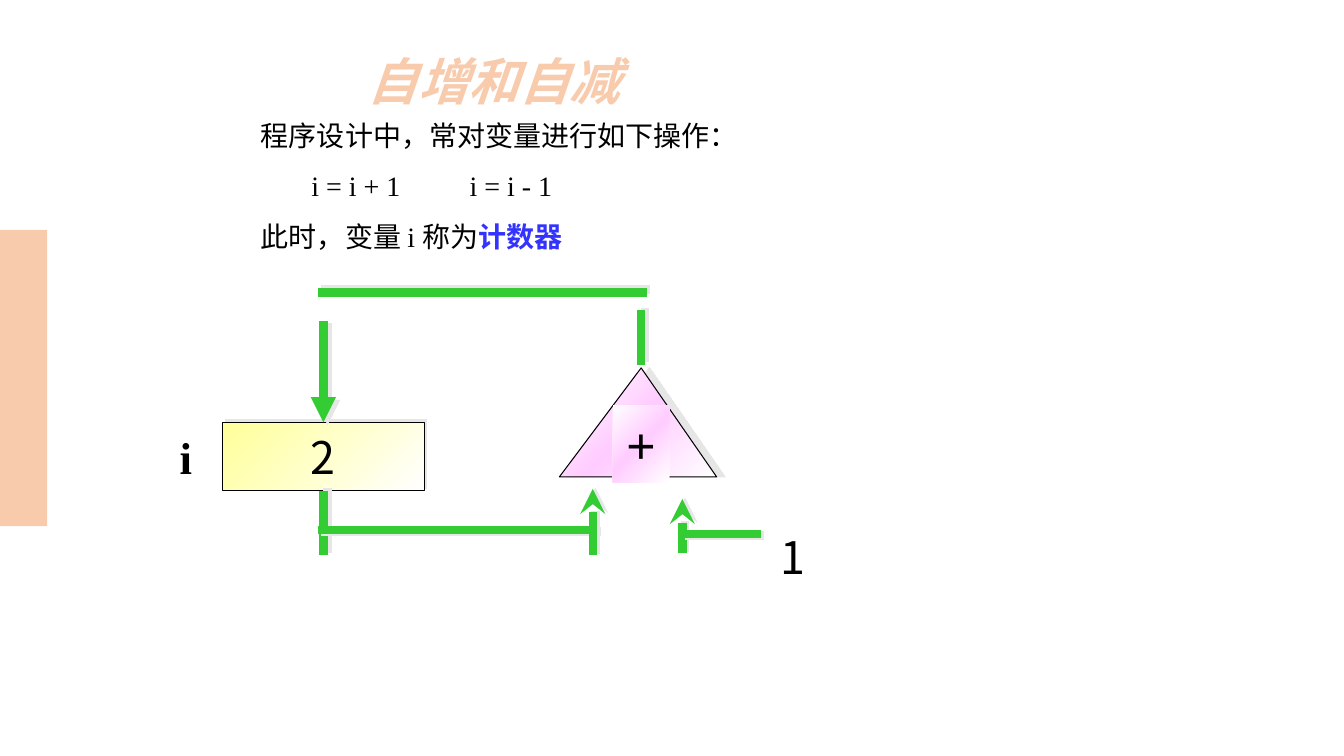
from dataclasses import dataclass
from typing import Any, Optional

from lxml import etree
from pptx import Presentation
from pptx.dml import color as dml
from pptx.enum import shapes as kinds, text as txt
from pptx.oxml import ns
from pptx.util import Pt

HUES = {"ink": "000000", "peach": "F8CBAD", "rust": "ED7D31", "green": "33CC33",
        "blue": "3333FF", "shade": "E7E6E6", "lemon": "FFFF99", "pink": "FFCCFF",
        "white": "FFFFFF"}
SERIF, SANS = "Times New Roman", "Noto Sans CJK SC"
MID = 231


@dataclass
class Box:
    left: float
    top: float
    width: float
    height: float


@dataclass
class Label:
    words: str
    size: float
    font: str
    bold: bool = False


@dataclass
class Block:
    kind: Any
    box: Box
    stops: tuple[str, ...]
    edge: bool = True
    shade: Optional[tuple[float, int]] = None
    label: Optional[Label] = None


@dataclass
class Wire:
    x: float
    y: float
    endx: float
    endy: float
    shade: tuple[float, int]
    head: str = ""


def hue(name: str) -> dml.RGBColor:
    """Return a named colour."""
    return dml.RGBColor.from_string(HUES[name])


def node(owner: Any, tag: str, **attrs: Any) -> Any:
    """Append a drawing element."""
    return etree.SubElement(owner, ns.qn("a:" + tag), {k: str(v) for k, v in attrs.items()})


def place(shape: Any, box: Box) -> None:
    """Move and size a shape."""
    shape.left, shape.top = Pt(box.left), Pt(box.top)
    shape.width, shape.height = Pt(box.width), Pt(box.height)


def style(run: Any, size: float, font: str, tint: str = "ink", bold: bool = False) -> None:
    """Format a run for Latin and Chinese text."""
    run.font.size, run.font.name, run.font.bold = Pt(size), font, bold
    run.font.color.rgb = hue(tint)
    node(run.font._element, "ea", typeface=SANS)


def cast(shape: Any, shade: Optional[tuple[float, int]]) -> None:
    """Give a shape its own shadow, or none."""
    effect = node(shape._element.spPr, "effectLst")
    if shade:
        dist, angle = shade
        outer = node(effect, "outerShdw", dist=Pt(dist), dir=angle * 60000,
                     algn="ctr", rotWithShape=0)
        node(outer, "srgbClr", val=HUES["shade"])


def write(shape: Any, label: Label) -> None:
    """Centre a label in a shape."""
    frame = shape.text_frame
    frame.text = label.words
    frame.word_wrap = False
    frame.vertical_anchor = txt.MSO_ANCHOR.MIDDLE
    frame.margin_left = frame.margin_right = Pt(9.4)
    frame.margin_top = frame.margin_bottom = Pt(5)
    para = frame.paragraphs[0]
    para.alignment = txt.PP_ALIGN.CENTER
    style(para.runs[0], label.size, label.font, bold=label.bold)


def blend(fill: Any, shape: Any, names: tuple[str, ...]) -> None:
    """Fill a shape with evenly spaced diagonal colours."""
    fill.gradient()
    fill.gradient_angle = 315
    stops = shape._element.spPr.find(".//" + ns.qn("a:gsLst"))
    stops.clear()
    for i, name in enumerate(names):
        stop = node(stops, "gs", pos=100000 * i // (len(names) - 1))
        node(stop, "srgbClr", val=HUES[name])


def build(slide: Any, block: Block) -> Any:
    """Draw a filled block."""
    box = block.box
    shape = slide.shapes.add_shape(block.kind, Pt(box.left), Pt(box.top),
                                   Pt(box.width), Pt(box.height))
    if len(block.stops) > 1:
        blend(shape.fill, shape, block.stops)
    else:
        shape.fill.solid()
        shape.fill.fore_color.rgb = hue(block.stops[0])
    if block.edge:
        shape.line.color.rgb = hue("ink")
        shape.line.width = Pt(0.75)
    else:
        shape.line.fill.background()
    cast(shape, block.shade)
    if block.label:
        write(shape, block.label)
    return shape


def link(slide: Any, wire: Wire) -> Any:
    """Draw a thick green line."""
    line = slide.shapes.add_connector(kinds.MSO_CONNECTOR.STRAIGHT, Pt(wire.x), Pt(wire.y),
                                      Pt(wire.endx), Pt(wire.endy))
    line.line.color.rgb = hue("green")
    line.line.width = Pt(6)
    if wire.head:
        node(line.line._get_or_add_ln(), "tailEnd", type=wire.head)
    cast(line, wire.shade)
    return line


def note(slide: Any, box: Box, label: Label) -> None:
    """Add a free label."""
    write(slide.shapes.add_textbox(Pt(box.left), Pt(box.top), Pt(box.width),
                                   Pt(box.height)), label)


def head(slide: Any) -> None:
    """Set the title."""
    title = slide.shapes.title
    place(title, Box(255.6, -2.2, 624.2, 75.6))
    frame = title.text_frame
    frame.text = "自增和自减"
    frame.word_wrap = True
    frame.auto_size = txt.MSO_AUTO_SIZE.SHAPE_TO_FIT_TEXT
    frame.vertical_anchor = txt.MSO_ANCHOR.TOP
    para = frame.paragraphs[0]
    para.alignment = txt.PP_ALIGN.LEFT
    para.line_spacing = 1.8
    run = para.runs[0]
    style(run, 36, SANS, "peach", True)
    run.font.italic = True
    rim = etree.Element(ns.qn("a:ln"), w=str(Pt(1.75)))
    node(node(rim, "solidFill"), "srgbClr", val=HUES["rust"])
    run.font._element.insert(0, rim)


def intro(slide: Any) -> None:
    """Write the explanation."""
    frame = slide.shapes.add_textbox(Pt(179.3), Pt(69), Pt(358), Pt(117)).text_frame
    frame.word_wrap = True
    frame.text = "程序设计中，常对变量进行如下操作：\n\ti = i + 1\t\t i = i - 1\n此时，变量 i 称为"
    for para in frame.paragraphs:
        para.line_spacing = 1.5
        style(para.runs[0], 20, SERIF)
    term = frame.paragraphs[-1].add_run()
    term.text = "计数器"
    style(term, 20, SERIF, "blue", True)


def main() -> None:
    """Build the counter slide."""
    deck = Presentation()
    deck.slide_width, deck.slide_height = Pt(960), Pt(540)
    slide = deck.slides.add_slide(deck.slide_layouts[5])
    rect, cone = kinds.MSO_SHAPE.RECTANGLE, kinds.MSO_SHAPE.ISOSCELES_TRIANGLE
    glow = ("white", "pink", "white")
    intro(slide)
    note(slide, Box(118.8, 301.7, 28, 49), Label("i", 32, SERIF, True))
    store = build(slide, Block(rect, Box(MID - 72, 301.7, 144, 49), ("lemon", "white"),
                               shade=(2.8, 315), label=Label("2", 32, SANS)))
    adder = build(slide, Block(cone, Box(399.6, 262.8, 112.3, 77.8), glow, shade=(6, 0)))
    adder.adjustments[0] = 0.52
    build(slide, Block(rect, Box(437.8, 289.4, 40.3, 55.4), glow, False,
                       label=Label("+", 37.3, SERIF, True)))
    wires = [Wire(MID, 350.7, MID, 396.7, (3.6, 326)),
             Wire(227.5, 378.7, 427.7, 378.7, (2.2, 27)),
             Wire(423.4, 396.7, 423.4, 349.2, (2.2, 333), "stealth"),
             Wire(487.4, 395.3, 487.4, 356.4, (2.2, 333), "stealth"),
             Wire(487.4, 381.6, 543.6, 381.6, (2.2, 27)),
             Wire(457.9, 221.8, 457.9, 260.6, (3.6, 326)),
             Wire(227.5, 208.8, 462.2, 208.8, (2.8, 315)),
             Wire(MID, 229, MID, 301.7, (3.6, 34), "triangle")]
    lines = [link(slide, wire) for wire in wires]
    lines[0].begin_connect(store, 2)
    lines[-1].end_connect(store, 0)
    note(slide, Box(548, 373, 36, 49), Label("1", 32, SANS))
    head(slide)
    build(slide, Block(rect, Box(0, 164.2, 33.8, 211.7), ("peach",), False))
    deck.save("out.pptx")


if __name__ == "__main__":
    main()
